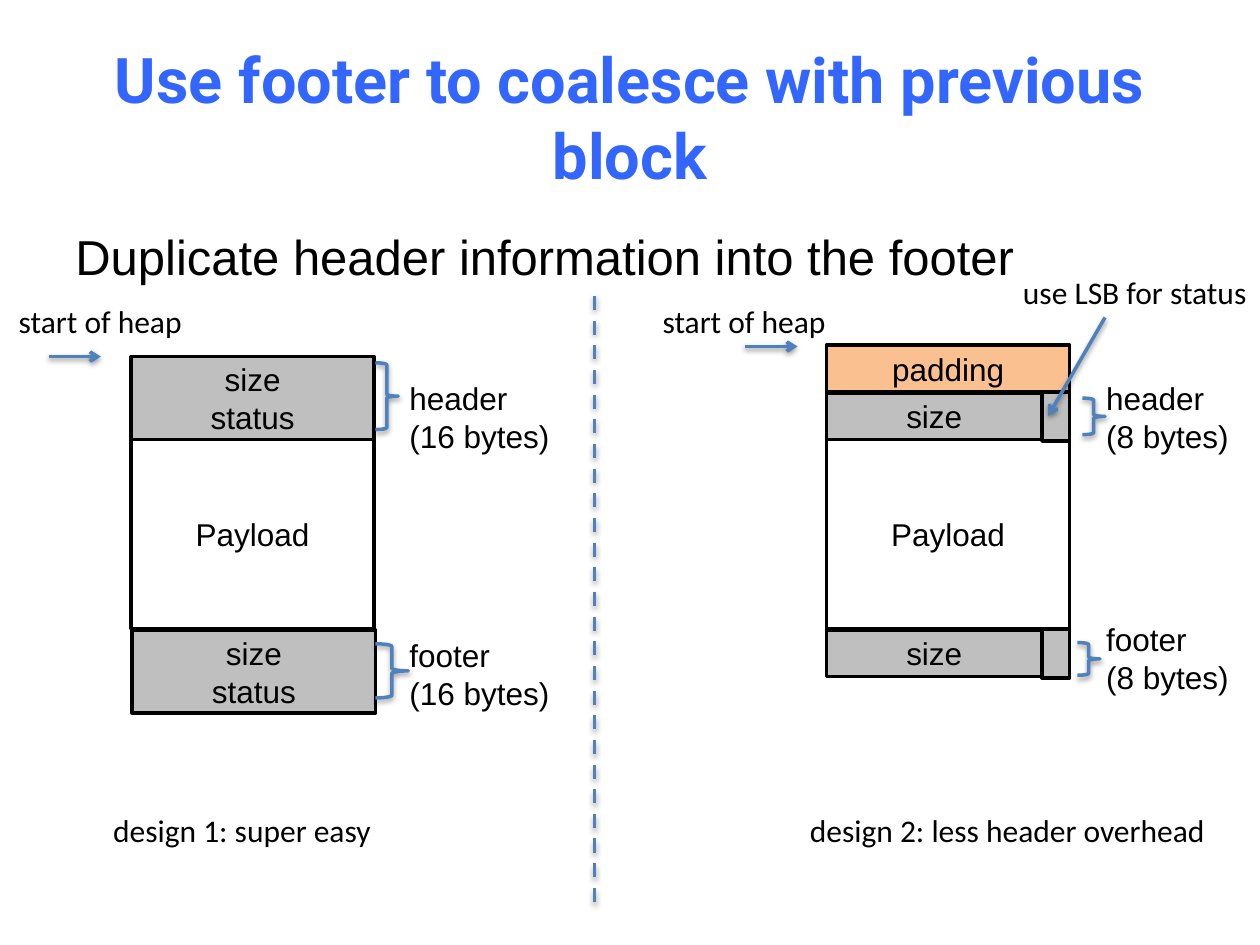
from lxml import etree
from pptx import Presentation
from pptx.dml.color import RGBColor
from pptx.enum.dml import MSO_LINE
from pptx.enum.shapes import MSO_CONNECTOR, MSO_SHAPE
from pptx.enum.text import MSO_ANCHOR, PP_ALIGN
from pptx.oxml.ns import qn
from pptx.util import Inches, Pt

RECTANGLE = MSO_SHAPE.RECTANGLE
RIGHT_BRACE = MSO_SHAPE.RIGHT_BRACE
STRAIGHT = MSO_CONNECTOR.STRAIGHT
DASH = MSO_LINE.DASH
CENTER = PP_ALIGN.CENTER
LEFT = PP_ALIGN.LEFT
MIDDLE = MSO_ANCHOR.MIDDLE
TOP = MSO_ANCHOR.TOP

BLACK = RGBColor(0x00, 0x00, 0x00)
TITLE_BLUE = RGBColor(0x33, 0x66, 0xFF)
LINE_BLUE = RGBColor(0x4F, 0x81, 0xBD)
GRAY = RGBColor(0xBF, 0xBF, 0xBF)
ORANGE = RGBColor(0xFA, 0xC0, 0x90)

BLOCK_WIDTH = 1.93
SIZE_WIDTH = 1.71
STATUS_WIDTH = BLOCK_WIDTH - SIZE_WIDTH


def write_text(frame, text, font="Arial", size=18, color=BLACK, align=LEFT, bold=False):
    frame.text = text
    for paragraph in frame.paragraphs:
        paragraph.alignment = align
        paragraph.font.name = font
        paragraph.font.size = Pt(size)
        paragraph.font.color.rgb = color
        paragraph.font.bold = bold


def add_text_box(slide, left, top, width, height, wrap=False, anchor=TOP):
    box = slide.shapes.add_textbox(Inches(left), Inches(top), Inches(width), Inches(height))
    box.text_frame.word_wrap = wrap
    box.text_frame.vertical_anchor = anchor
    return box.text_frame


def add_title(slide, text):
    frame = add_text_box(slide, 0.5, 0.3, 9, 1.25, wrap=True, anchor=MIDDLE)
    write_text(frame, text, "Roboto", 36, TITLE_BLUE, CENTER, bold=True)


def add_bullet(slide, text):
    frame = add_text_box(slide, 0.5, 1.75, 9, 1.01, wrap=True)
    properties = frame.paragraphs[0]._p.get_or_add_pPr()
    properties.set("marL", str(Inches(0.38)))
    properties.set("indent", str(Inches(-0.38)))
    bullet_font = etree.SubElement(properties, qn("a:buFont"))
    bullet_font.set("typeface", "Arial")
    etree.SubElement(properties, qn("a:buChar")).set("char", "•")
    write_text(frame, text, size=28)


def add_label(slide, text, left, top, width, height=0.4, font="Calibri"):
    write_text(add_text_box(slide, left, top, width, height), text, font)


def add_part_label(slide, text, left, top, width):
    add_label(slide, text, left, top, width, 0.71, "Arial")


def add_block(slide, text, left, top, width, height, fill=None):
    block = slide.shapes.add_shape(
        RECTANGLE, Inches(left), Inches(top), Inches(width), Inches(height))
    block.shadow.inherit = False
    if fill is None:
        block.fill.background()
    else:
        block.fill.solid()
        block.fill.fore_color.rgb = fill
    block.line.color.rgb = BLACK
    block.line.width = Pt(2)
    block.text_frame.vertical_anchor = MIDDLE
    write_text(block.text_frame, text, align=CENTER)


def style_blue_line(shape):
    shape.line.color.rgb = LINE_BLUE
    shape.line.width = Pt(2)
    effects = etree.SubElement(shape._element.spPr, qn("a:effectLst"))
    shadow = etree.SubElement(
        effects, qn("a:outerShdw"),
        blurRad=str(Pt(3.1)), dist=str(Pt(1.6)), dir="5400000", rotWithShape="0")
    shade = etree.SubElement(shadow, qn("a:srgbClr"), val="000000")
    etree.SubElement(shade, qn("a:alpha"), val="38000")


def add_brace(slide, left, top, width, height):
    brace = slide.shapes.add_shape(
        RIGHT_BRACE, Inches(left), Inches(top), Inches(width), Inches(height))
    brace.fill.background()
    style_blue_line(brace)


def add_line(slide, start, end):
    line = slide.shapes.add_connector(
        STRAIGHT, Inches(start[0]), Inches(start[1]), Inches(end[0]), Inches(end[1]))
    style_blue_line(line)
    return line


def add_arrow(slide, start, end):
    arrow = add_line(slide, start, end)
    etree.SubElement(arrow.line._get_or_add_ln(), qn("a:tailEnd"), type="arrow")


def add_divider(slide):
    add_line(slide, (4.72, 2.35), (4.72, 7.16)).line.dash_style = DASH


def add_first_design(slide):
    left = 1.04
    add_block(slide, "Payload", left, 3.48, BLOCK_WIDTH, 1.51)
    add_block(slide, "size\nstatus", left, 2.83, BLOCK_WIDTH, 0.66, GRAY)
    add_block(slide, "size\nstatus", left + 0.01, 5, BLOCK_WIDTH, 0.66, GRAY)
    add_part_label(slide, "header\n(16 bytes)", 3.15, 2.96, 1.32)
    add_part_label(slide, "footer\n(16 bytes)", 3.15, 5, 1.32)
    add_brace(slide, 2.98, 2.88, 0.18, 0.53)
    add_brace(slide, 2.98, 5.11, 0.26, 0.43)
    add_arrow(slide, (0.39, 2.83), (0.8, 2.83))
    add_label(slide, "start of heap", 0.05, 2.35, 1.51)
    add_label(slide, "design 1: super easy", 0.8, 6.39, 2.27)


def add_second_design(slide):
    left = 6.56
    add_block(slide, "Payload", left, 3.48, BLOCK_WIDTH, 1.51)
    add_block(slide, "padding", left, 2.74, BLOCK_WIDTH, 0.37, ORANGE)
    for top in (3.12, 5):
        add_block(slide, "size", left, top, SIZE_WIDTH, 0.37, GRAY)
        add_block(slide, "", left + SIZE_WIDTH, top - 0.01, STATUS_WIDTH, 0.39, GRAY)
    add_part_label(slide, "header\n(8 bytes)", 8.68, 2.96, 1.18)
    add_part_label(slide, "footer\n(8 bytes)", 8.68, 4.87, 1.18)
    add_brace(slide, 8.59, 3.16, 0.18, 0.29)
    add_brace(slide, 8.55, 5.1, 0.18, 0.26)
    add_arrow(slide, (5.91, 2.75), (6.33, 2.75))
    add_label(slide, "start of heap", 5.16, 2.35, 1.51)
    add_label(slide, "design 2: less header overhead", 6.33, 6.39, 3.37)
    add_arrow(slide, (8.77, 2.52), (8.32, 3.3))
    add_label(slide, "use LSB for status", 8.02, 2.12, 2.01)


def main():
    presentation = Presentation()
    presentation.slide_width = Inches(10)
    presentation.slide_height = Inches(7.5)
    slide = presentation.slides.add_slide(presentation.slide_layouts[6])
    add_title(slide, "Use footer to coalesce with previous block")
    add_bullet(slide, "Duplicate header information into the footer")
    add_first_design(slide)
    add_divider(slide)
    add_second_design(slide)
    presentation.save("out.pptx")


if __name__ == "__main__":
    main()
